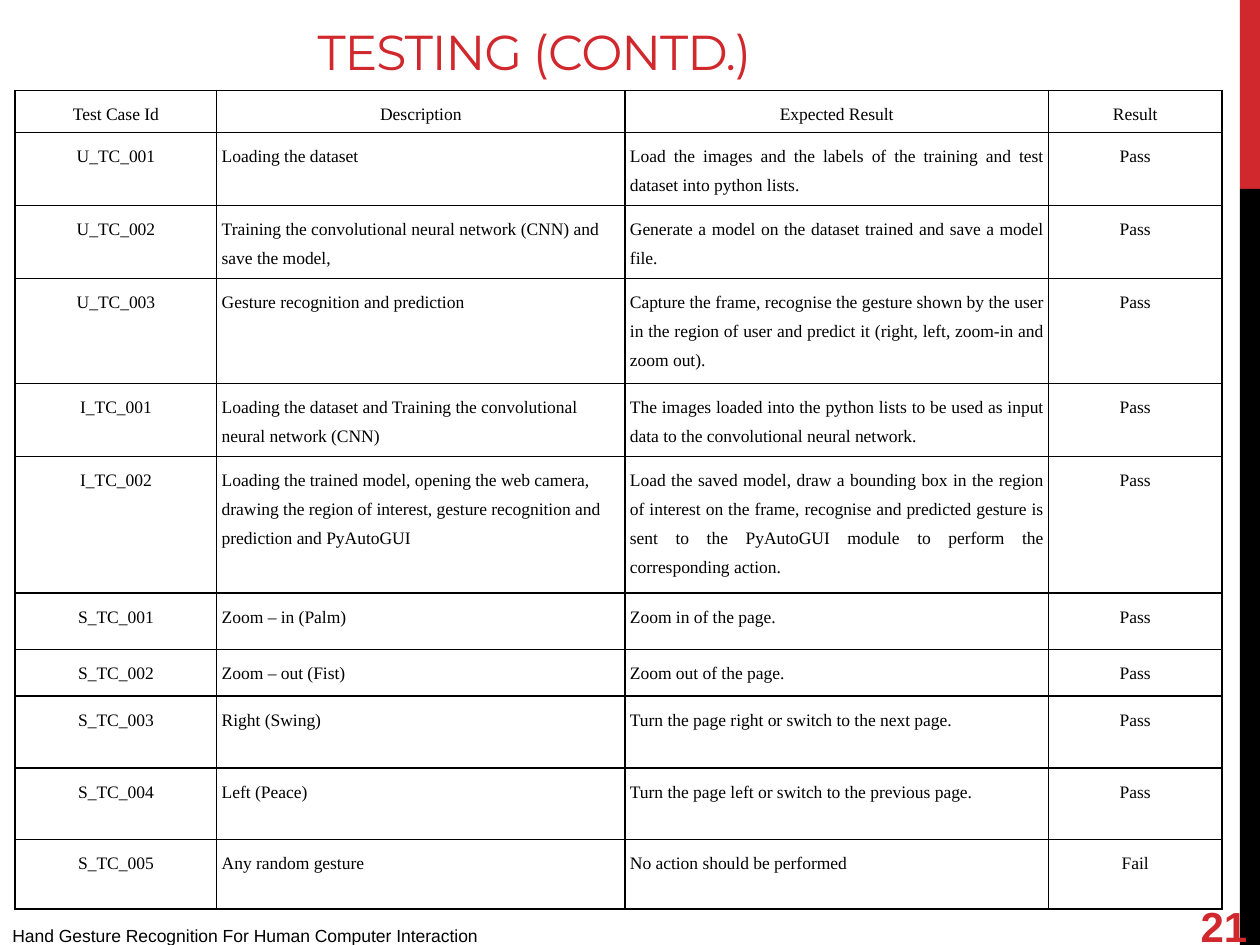
from typing import NamedTuple

from lxml.etree import SubElement
from pptx import Presentation
from pptx.dml.color import RGBColor
from pptx.enum.shapes import MSO_SHAPE as Preset
from pptx.enum.text import MSO_ANCHOR as Anchor, MSO_AUTO_SIZE as AutoSize, PP_ALIGN as Align
from pptx.oxml.ns import qn
from pptx.util import Inches, Pt

RED, BLACK, WHITE = "D1282E", "000000", "FFFFFF"


class Box(NamedTuple):
    left: float
    top: float
    width: float
    height: float

    def lengths(self) -> list:
        return [Inches(value) for value in self]


class TestCase(NamedTuple):
    case_id: str
    description: str
    expected: str
    result: str
    height: float


HEADER = TestCase("Test Case Id", "Description", "Expected Result", "Result", 0.33)
TEST_CASES = [
    TestCase("U_TC_001", "Loading the dataset",
             "Load the images and the labels of the training and test dataset into python lists.",
             "Pass", 0.57),
    TestCase("U_TC_002", "Training the convolutional neural network (CNN) and save the model,",
             "Generate a model on the dataset trained and save a model file.", "Pass", 0.57),
    TestCase("U_TC_003", "Gesture recognition and prediction",
             "Capture the frame, recognise the gesture shown by the user in the region of user "
             "and predict it (right, left, zoom-in and zoom out).", "Pass", 0.81),
    TestCase("I_TC_001", "Loading the dataset and Training the convolutional neural network (CNN)",
             "The images loaded into the python lists to be used as input data to the "
             "convolutional neural network.", "Pass", 0.57),
    TestCase("I_TC_002",
             "Loading the trained model, opening the web camera, drawing the region of interest, "
             "gesture recognition and prediction and PyAutoGUI",
             "Load the saved model, draw a bounding box in the region of interest on the frame, "
             "recognise and predicted gesture is sent to the PyAutoGUI module to perform the "
             "corresponding action.", "Pass", 1.06),
    TestCase("S_TC_001", "Zoom – in (Palm)", "Zoom in of the page.", "Pass", 0.45),
    TestCase("S_TC_002", "Zoom – out (Fist)", "Zoom out of the page.", "Pass", 0.37),
    TestCase("S_TC_003", "Right (Swing)", "Turn the page right or switch to the next page.",
             "Pass", 0.57),
    TestCase("S_TC_004", "Left (Peace)", "Turn the page left or switch to the previous page.",
             "Pass", 0.57),
    TestCase("S_TC_005", "Any random gesture", "No action should be performed", "Fail", 0.55),
]
COLUMN_WIDTHS = [1.6, 3.24, 3.36, 1.38]
COLUMN_ALIGNS = [Align.CENTER, Align.LEFT, Align.JUSTIFY, Align.CENTER]


def color(value: str) -> RGBColor:
    return RGBColor.from_string(value)


def add_run(paragraph, text: str, font: str, size: float, ink: str, bold: bool = False):
    run = paragraph.add_run()
    run.text = text
    run.font.name, run.font.size, run.font.bold = font, Pt(size), bold
    run.font.color.rgb = color(ink)
    return run


def add_band(slide, box: Box, fill: str) -> None:
    band = slide.shapes.add_shape(Preset.RECTANGLE, *box.lengths())
    band.shadow.inherit = False
    band.fill.solid()
    band.fill.fore_color.rgb = color(fill)
    band.line.fill.background()


def add_label(slide, box: Box, text: str, size: float, ink: str,
              bold: bool = False, anchor: Anchor = Anchor.TOP, wrap: bool = True) -> None:
    frame = slide.shapes.add_textbox(*box.lengths()).text_frame
    frame.word_wrap, frame.vertical_anchor = wrap, anchor
    add_run(frame.paragraphs[0], text, "Arial", size, ink, bold)


def add_borders(cell) -> None:
    properties = cell._tc.get_or_add_tcPr()
    for side in ("a:lnL", "a:lnR", "a:lnT", "a:lnB"):
        line = SubElement(properties, qn(side), w=str(Pt(1)))
        SubElement(SubElement(line, qn("a:solidFill")), qn("a:srgbClr"), val=BLACK)


def fill_cell(cell, text: str, align: Align) -> None:
    cell.margin_left = cell.margin_right = cell.margin_top = cell.margin_bottom = Inches(0.04)
    add_borders(cell)
    cell.fill.solid()
    cell.fill.fore_color.rgb = color(WHITE)
    paragraph = cell.text_frame.paragraphs[0]
    paragraph.alignment, paragraph.line_spacing = align, 1.5
    add_run(paragraph, text, "Times New Roman", 10, BLACK)


def add_test_table(slide, box: Box) -> None:
    rows = [HEADER, *TEST_CASES]
    table = slide.shapes.add_table(len(rows), len(COLUMN_WIDTHS), *box.lengths()).table
    for column, width in zip(table.columns, COLUMN_WIDTHS):
        column.width = Inches(width)
    for row, case in zip(table.rows, rows):
        row.height = Inches(case.height)
        for cell, text, align in zip(row.cells, case[:4], COLUMN_ALIGNS):
            fill_cell(cell, text, Align.CENTER if case is HEADER else align)


def set_title(slide, box: Box, text: str) -> None:
    title = slide.shapes.title
    title.left, title.top, title.width, title.height = box.lengths()
    frame = title.text_frame
    frame.auto_size, frame.vertical_anchor = AutoSize.NONE, Anchor.TOP
    frame.paragraphs[0].alignment = Align.LEFT
    run = add_run(frame.paragraphs[0], text, "Montserrat", 28, RED)
    run.font._element.set("spc", "-60")


def main() -> None:
    deck = Presentation()
    deck.slide_width, deck.slide_height = Inches(10), Inches(7.5)
    slide = deck.slides.add_slide(deck.slide_layouts[5])

    # Side bands
    add_band(slide, Box(9.84, 0, 0.16, 1.5), RED)
    add_band(slide, Box(9.84, 1.5, 0.16, 6), BLACK)

    # Page number and footer
    add_label(slide, Box(9.43, 7.15, 0.58, 0.4), "21", 24, RED, True, Anchor.MIDDLE, wrap=False)
    add_label(slide, Box(0, 7.29, 4.17, 0.31),
              "Hand Gesture Recognition For Human Computer Interaction", 10, BLACK)

    # Title and test results
    set_title(slide, Box(2.42, 0.12, 6.5, 0.87), "TESTING (CONTD.)")
    add_test_table(slide, Box(0.12, 0.72, 9.58, 6.42))

    deck.save("out.pptx")


if __name__ == "__main__":
    main()
